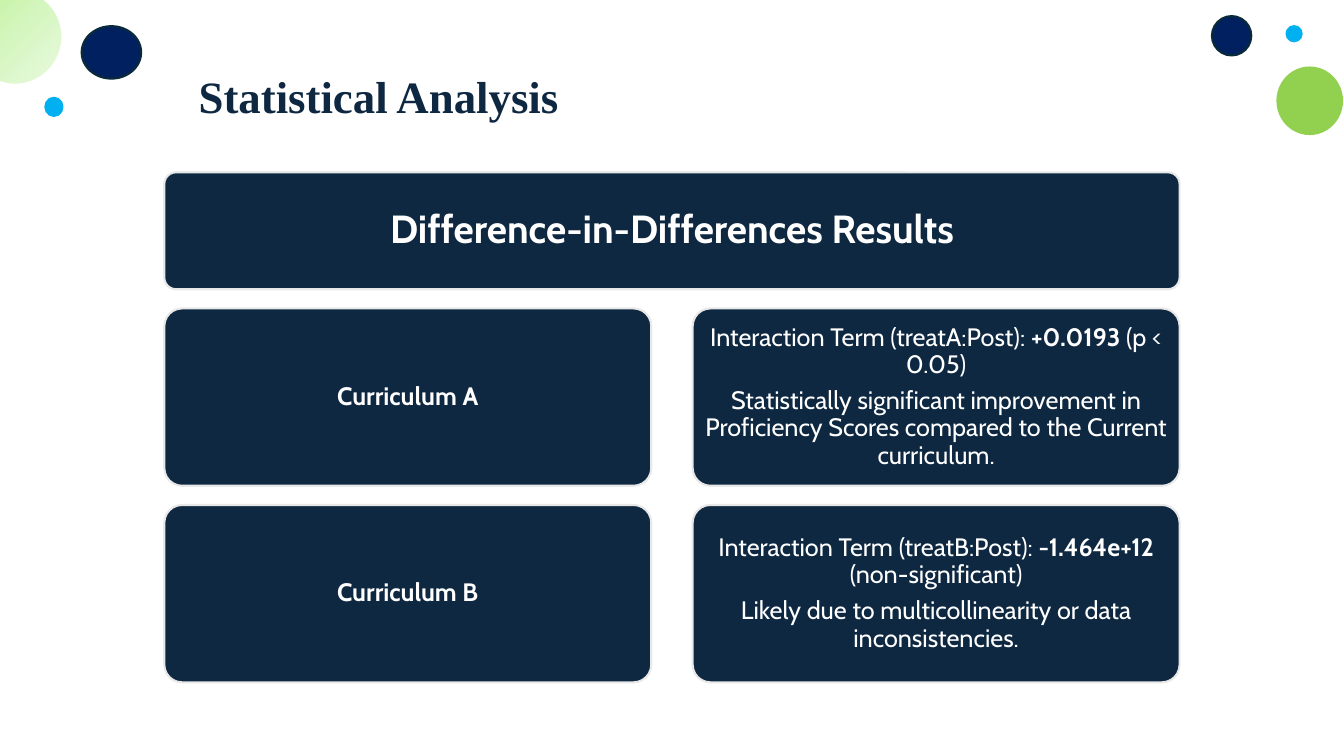
from dataclasses import dataclass

from lxml import etree
from pptx import Presentation, util as u
from pptx.dml.color import RGBColor
from pptx.enum import shapes, text
from pptx.oxml.ns import qn


@dataclass(frozen=True)
class Theme:
    navy: str = "0E2841"
    white: str = "FFFFFF"
    border: str = "E8E8E8"
    green: str = "92D050"
    deep_blue: str = "002060"
    deep_edge: str = "092A39"
    sky: str = "00B0F0"
    glow: tuple = ((0, "BEF297"), (50, "D5F6C0"), (100, "EAFAE0"))
    title_font: str = "Times New Roman"
    body_font: str = "Cabin"
    title_size: int = 32
    banner_size: int = 28
    body_size: int = 18
    line_width: float = 1.5
    line_spacing: float = 0.9
    space_share: float = 0.35


T = Theme()

# Card grid: two columns, a banner row and two equal rows
LEFT, TOP = 1.63, 1.71
COL_WIDTH, COL_GAP = 4.83, 0.41
ROW_HEIGHTS, ROW_GAP = (1.16, 1.76, 1.76), 0.19

# left, top, width, height, fill, outline
BUBBLES = (
    (12.67, 0.67, 0.64, 0.66, T.green, T.green),
    (12.02, 0.16, 0.39, 0.39, T.deep_blue, T.deep_edge),
    (12.76, 0.26, 0.15, 0.15, T.sky, T.sky),
    (-0.32, -0.11, 0.94, 0.95, T.glow, T.white),
    (0.81, 0.26, 0.59, 0.52, T.deep_blue, T.deep_edge),
    (0.45, 0.97, 0.17, 0.18, T.sky, T.sky),
)

# Each card body is a list of paragraphs; each paragraph is a list of (text, bold)
CURRICULA = (
    ("Curriculum A", [
        [("Interaction Term (treatA:Post): ", False), ("+0.0193", True),
         (" (p < 0.05)", False)],
        [("Statistically significant improvement in Proficiency Scores "
          "compared to the Current curriculum.", False)],
    ]),
    ("Curriculum B", [
        [("Interaction Term (treatB:Post): ", False), ("-1.464e+12", True),
         (" (non-significant)", False)],
        [("Likely due to multicollinearity or data inconsistencies.", False)],
    ]),
)


def set_attrs(obj, **values):
    for name, value in values.items():
        setattr(obj, name, value)


def cell_box(row, col, span=1):
    """Inches of a grid cell as left, top, width, height."""
    return (LEFT + col * (COL_WIDTH + COL_GAP),
            TOP + sum(ROW_HEIGHTS[:row]) + row * ROW_GAP,
            span * COL_WIDTH + (span - 1) * COL_GAP,
            ROW_HEIGHTS[row])


def fill_radial(sp, stops):
    """Circular gradient that spreads from the top left corner."""
    sp.fill.gradient()
    grad = sp.element.spPr.find(qn("a:gradFill"))
    for child in list(grad):
        grad.remove(child)
    stop_list = etree.SubElement(grad, qn("a:gsLst"))
    for percent, color in stops:
        stop = etree.SubElement(stop_list, qn("a:gs"), pos=str(percent * 1000))
        etree.SubElement(stop, qn("a:srgbClr"), val=color)
    circle = etree.SubElement(grad, qn("a:path"), path="circle")
    etree.SubElement(circle, qn("a:fillToRect"), r="100000", b="100000")


def add_shape(slide, kind, box, fill, line):
    sp = slide.shapes.add_shape(kind, *map(u.Inches, box))
    sp.shadow.inherit = False
    if isinstance(fill, str):
        sp.fill.solid()
        sp.fill.fore_color.rgb = RGBColor.from_string(fill)
    else:
        fill_radial(sp, fill)
    sp.line.color.rgb = RGBColor.from_string(line)
    sp.line.width = u.Pt(T.line_width)
    return sp


def write_paragraph(p, runs, size, font, color, align):
    set_attrs(p, alignment=align, line_spacing=T.line_spacing)
    for content, bold in runs:
        r = p.add_run()
        r.text = content
        set_attrs(r.font, name=font, size=u.Pt(size), bold=bold)
        r.font.color.rgb = RGBColor.from_string(color)


def add_card(slide, box, paragraphs, size=T.body_size, inset=0.07):
    sp = add_shape(slide, shapes.MSO_SHAPE.ROUNDED_RECTANGLE, box, T.navy, T.border)
    sp.adjustments[0] = 0.1
    tf = sp.text_frame
    set_attrs(tf, word_wrap=True, vertical_anchor=text.MSO_ANCHOR.MIDDLE)
    for side in ("left", "right", "top", "bottom"):
        setattr(tf, f"margin_{side}", u.Inches(inset))
    for i, runs in enumerate(paragraphs):
        p = tf.add_paragraph() if i else tf.paragraphs[0]
        write_paragraph(p, runs, size, T.body_font, T.white, text.PP_ALIGN.CENTER)
        p.space_after = u.Pt(size * T.space_share)


def set_title(slide, title):
    sp = slide.shapes.title
    set_attrs(sp, left=u.Inches(1.87), top=u.Inches(0.49),
              width=u.Inches(10.23), height=u.Inches(0.98))
    tf = sp.text_frame
    set_attrs(tf, word_wrap=True, auto_size=text.MSO_AUTO_SIZE.NONE,
              vertical_anchor=text.MSO_ANCHOR.MIDDLE)
    write_paragraph(tf.paragraphs[0], [(title, True)], T.title_size,
                    T.title_font, T.navy, text.PP_ALIGN.LEFT)


def main():
    prs = Presentation()
    set_attrs(prs, slide_width=u.Inches(13.33), slide_height=u.Inches(7.5))
    slide = prs.slides.add_slide(prs.slide_layouts.get_by_name("Title Only"))
    for *box, fill, line in BUBBLES:
        add_shape(slide, shapes.MSO_SHAPE.OVAL, box, fill, line)
    set_title(slide, "Statistical Analysis")
    add_card(slide, cell_box(0, 0, span=2),
             [[("Difference-in-Differences Results", True)]],
             size=T.banner_size, inset=0.12)
    for row, (name, findings) in enumerate(CURRICULA, start=1):
        add_card(slide, cell_box(row, 0), [[(name, True)]])
        add_card(slide, cell_box(row, 1), findings)
    prs.save("out.pptx")


if __name__ == "__main__":
    main()
